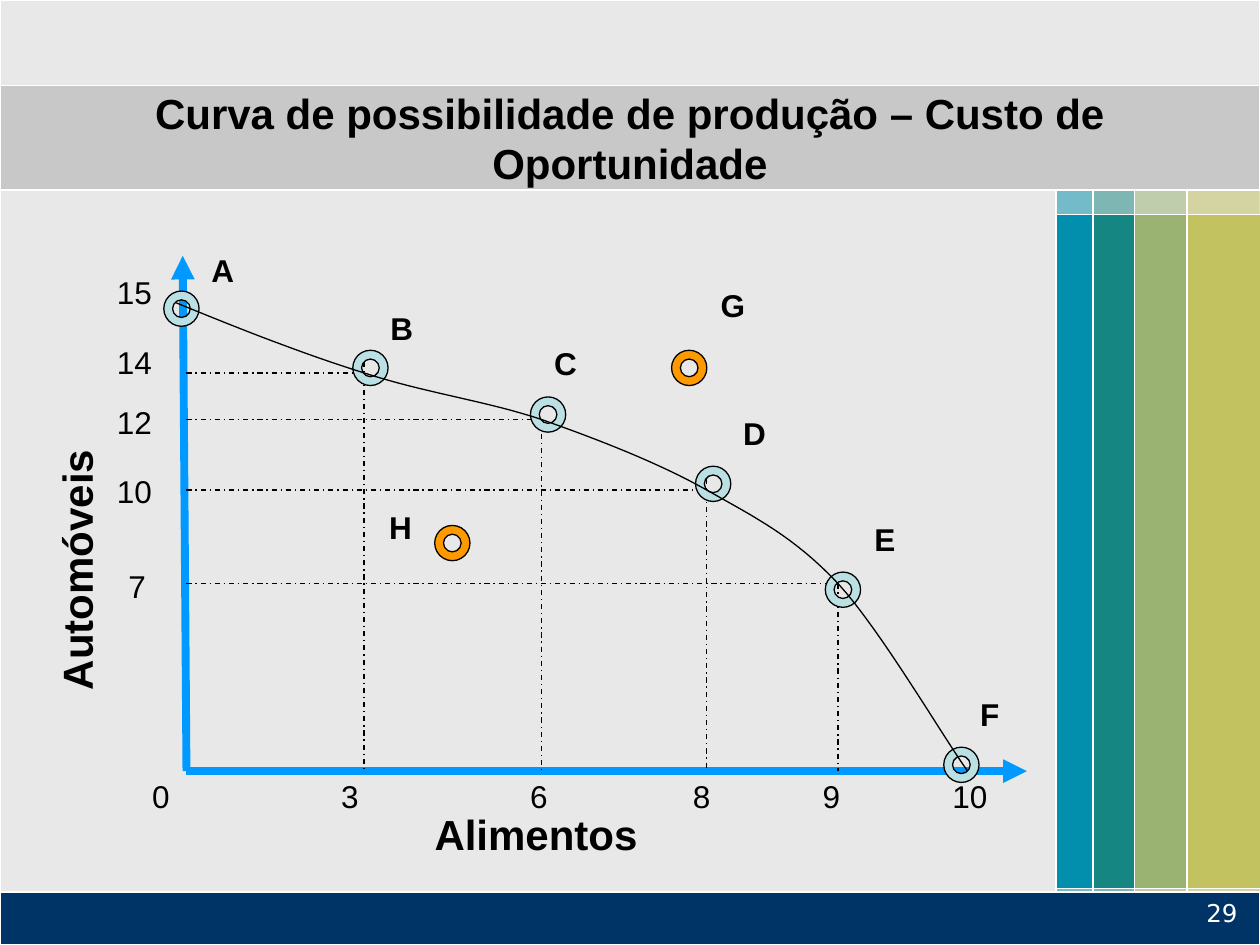
from collections import namedtuple

from lxml import etree
from pptx import Presentation
from pptx.dml.color import RGBColor
from pptx.enum.dml import MSO_LINE
from pptx.enum.shapes import MSO_CONNECTOR, MSO_SHAPE
from pptx.enum.text import MSO_ANCHOR, PP_ALIGN
from pptx.oxml.ns import qn
from pptx.util import Inches, Pt

RECTANGLE, DONUT = MSO_SHAPE.RECTANGLE, MSO_SHAPE.DONUT
STRAIGHT, DASH_DOT = MSO_CONNECTOR.STRAIGHT, MSO_LINE.DASH_DOT
MIDDLE = MSO_ANCHOR.MIDDLE
LEFT, CENTER, RIGHT = PP_ALIGN.LEFT, PP_ALIGN.CENTER, PP_ALIGN.RIGHT

COLUMNS, ROWS = 100, 75
CELL = Inches(0.1)
RING = 2.8
CURVE_STEPS = 16

COLORS = {
    "page": "E8E8E8", "band": "C8C8C8", "footer": "003366",
    "blue": "028FAD", "teal": "158682", "green": "9AB372", "olive": "C2C260",
    "axis": "0099FF", "ring": "BBE0E3", "outside": "FF9900",
    "black": "000000", "white": "FFFFFF",
}

Box = namedtuple("Box", "left top width height")
Point = namedtuple("Point", "name knot ring label")

FRONTIER = [
    Point("A", (-0.9, 3.7), (-0.4, 4.2), (1, -0.9)),
    Point("B", (14.1, 9.3), (14.6, 8.9), (15.2, 3.7)),
    Point("C", (28.2, 13), (28.7, 12.6), (28.2, 6.5)),
    Point("D", (41.3, 18.6), (41.8, 18.1), (43.2, 12.1)),
    Point("E", (51.7, 26), (52.1, 26.5), (53.6, 20.5)),
    Point("F", (62, 40.9), (61.5, 40.4), (62, 34.4)),
]
OFF_CURVE = [
    Point("H", None, (21.1, 22.8), (15.1, 19.5)),
    Point("G", None, (39.9, 8.9), (41.4, 1.9)),
]
HANDLES = [
    ((4.2, 5.8), (9.3, 7.8)),
    ((19, 10.9), (23.7, 11.5)),
    ((32.7, 14.6), (37.4, 16.4)),
    ((45.2, 20.8), (48.2, 22.3)),
    ((55.1, 29.7), (60.3, 38.6)),
]
DROP_TOPS = [8.4, 13, 17.7, 26]
FOOD_TICKS = {"0": -3.7, "3": 11.3, "6": 26.3, "8": 39.2, "9": 49.5, "10": 59.8}
CAR_TICKS = {"15": 0.9, "14": 6.4, "12": 11.2, "10": 16.7, "7": 24.2}


def cells(*lengths):
    """Turn grid cells into slide lengths."""
    return [round(length * CELL) for length in lengths]


def color(name):
    """Look up a palette colour."""
    return RGBColor.from_string(COLORS[name])


def add_filled(slide, kind, box, fill, outline, alpha=None):
    """Add a flat preset shape with a thin outline."""
    shape = slide.shapes.add_shape(kind, *cells(*box))
    shape.shadow.inherit = False
    shape.fill.solid()
    shape.fill.fore_color.rgb = color(fill)
    shape.line.color.rgb = color(outline)
    shape.line.width = Pt(0.75)
    if alpha is not None:
        solid = shape.fill.fore_color._xFill
        etree.SubElement(solid[0], qn("a:alpha"), val=str(alpha * 1000))
    return shape


def add_text(slide, box, text, size=18, bold=False, align=LEFT, wrap=False,
             font="Arial", fill="black"):
    """Add a one-paragraph text box."""
    text_box = slide.shapes.add_textbox(*cells(*box))
    frame = text_box.text_frame
    frame.word_wrap = wrap
    frame.text = text
    paragraph = frame.paragraphs[0]
    paragraph.alignment = align
    paragraph.font.name = font
    paragraph.font.size = Pt(size)
    paragraph.font.bold = bold
    paragraph.font.color.rgb = color(fill)
    return text_box


def add_line(slide, box, start, end, fill="black", width=0.75, dash=None, arrow=False):
    """Add a straight line between two points of the box."""
    ends = [box.left + start[0], box.top + start[1], box.left + end[0], box.top + end[1]]
    connector = slide.shapes.add_connector(STRAIGHT, *cells(*ends))
    connector.line.color.rgb = color(fill)
    connector.line.width = Pt(width)
    if dash:
        connector.line.dash_style = dash
    if arrow:
        etree.SubElement(connector.line._get_or_add_ln(), qn("a:tailEnd"), type="triangle")
    etree.SubElement(connector._element.spPr, qn("a:effectLst"))


def draw_stripes(slide, box, alpha=None):
    """Fill the box with the four coloured columns."""
    right = box.left + box.width
    shares = {"olive": 0.48, "green": 0.34, "teal": 0.27, "blue": 0.24}
    for name, share in shares.items():
        width = box.width * share / sum(shares.values())
        right -= width
        add_filled(slide, RECTANGLE, (right, box.top, width, box.height), name, "white", alpha)


def draw_backdrop(slide, page):
    """Draw the page, its side stripes, footer and title band."""
    add_filled(slide, RECTANGLE, page, "page", "white")
    stripes = Box(83.8, 14.2, 16.3, 58.3)
    draw_stripes(slide, stripes, alpha=50)
    add_filled(slide, RECTANGLE, (0, 70.8, page.width, 4.2), "footer", "white")
    add_filled(slide, RECTANGLE, (0, 6.8, page.width, 8.3), "band", "white")
    draw_stripes(slide, stripes._replace(top=17, height=53.5))


def draw_title(slide, box):
    """Write the centred title inside its band."""
    title = add_text(slide, box, "Curva de possibilidade de produção – Custo de Oportunidade",
                     24, True, CENTER, True)
    title.text_frame.vertical_anchor = MIDDLE
    title.text_frame.margin_top = title.text_frame.margin_bottom = 0


def draw_axes(slide, box):
    """Draw both axes and the guide lines to the curve."""
    origin = (0, box.height)
    add_line(slide, box, origin, (-0.3, 0), "axis", 4.5, arrow=True)
    add_line(slide, box, origin, (box.width, box.height), "axis", 4.5, arrow=True)
    for point, top in zip(FRONTIER[1:-1], DROP_TOPS):
        x, y = point.knot
        add_line(slide, box, (x, top), (x, box.height), dash=DASH_DOT)
        add_line(slide, box, (0, y), (x, y), dash=DASH_DOT)


def draw_axis_labels(slide, box):
    """Write the tick values and the axis names."""
    ticks = [(text, x, box.height) for text, x in FOOD_TICKS.items()]
    ticks += [(text, -6.5 if len(text) > 1 else -5.6, y) for text, y in CAR_TICKS.items()]
    for text, x, y in ticks:
        width = 2 + 1.4 * len(text)
        add_text(slide, (box.left + x, box.top + y, width, 4), text)
    add_text(slide, (box.left + 18.7, box.top + 43.4, 18.1, 5), "Alimentos", 24, True)
    cars = add_text(slide, (box.left - 19.3, box.top + 22.4, 21.1, 5), "Automóveis", 24, True)
    cars.rotation = 270


def curve_points(box):
    """List points along the smooth curve through the frontier."""
    points = [FRONTIER[0].knot]
    for start, (first, second), end in zip(FRONTIER, HANDLES, FRONTIER[1:]):
        for step in range(1, CURVE_STEPS + 1):
            t = step / CURVE_STEPS
            weights = ((1 - t) ** 3, 3 * t * (1 - t) ** 2, 3 * t * t * (1 - t), t ** 3)
            anchors = (start.knot, first, second, end.knot)
            points.append([sum(w * p[axis] for w, p in zip(weights, anchors))
                           for axis in (0, 1)])
    return [cells(box.left + x, box.top + y) for x, y in points]


def draw_curve(slide, box):
    """Draw the production possibility curve."""
    first, *others = curve_points(box)
    builder = slide.shapes.build_freeform(*first)
    builder.add_line_segments(others, close=False)
    curve = builder.convert_to_shape()
    curve.shadow.inherit = False
    curve.fill.background()
    curve.line.color.rgb = color("black")
    curve.line.width = Pt(0.75)


def draw_rings(slide, box, points, fill):
    """Mark each point with a ring."""
    for point in points:
        left, top = (box.left + point.ring[0] - RING / 2, box.top + point.ring[1] - RING / 2)
        ring = add_filled(slide, DONUT, (left, top, RING, RING), fill, "black")
        ring.adjustments[0] = 0.25


def draw_chart(slide, box):
    """Draw the whole diagram around its plot area."""
    draw_axes(slide, box)
    draw_axis_labels(slide, box)
    draw_rings(slide, box, FRONTIER, "ring")
    draw_curve(slide, box)
    draw_rings(slide, box, OFF_CURVE, "outside")
    for point in FRONTIER + OFF_CURVE:
        x, y = point.label
        add_text(slide, (box.left + x, box.top + y, 3.8, 4), point.name, bold=True)


def main():
    """Build and save the slide."""
    presentation = Presentation()
    presentation.slide_width, presentation.slide_height = cells(COLUMNS, ROWS)
    slide = presentation.slides.add_slide(presentation.slide_layouts[6])
    draw_backdrop(slide, Box(0, 0, COLUMNS, ROWS))
    draw_title(slide, Box(0, 6.8, COLUMNS, 8.3))
    draw_chart(slide, Box(14.8, 20.3, 66.7, 40.9))
    add_text(slide, (92.5, 70.8, 6.7, 5), "29", 14, align=RIGHT, wrap=True,
             font="DejaVu Sans", fill="white")
    presentation.save("out.pptx")


if __name__ == "__main__":
    main()
